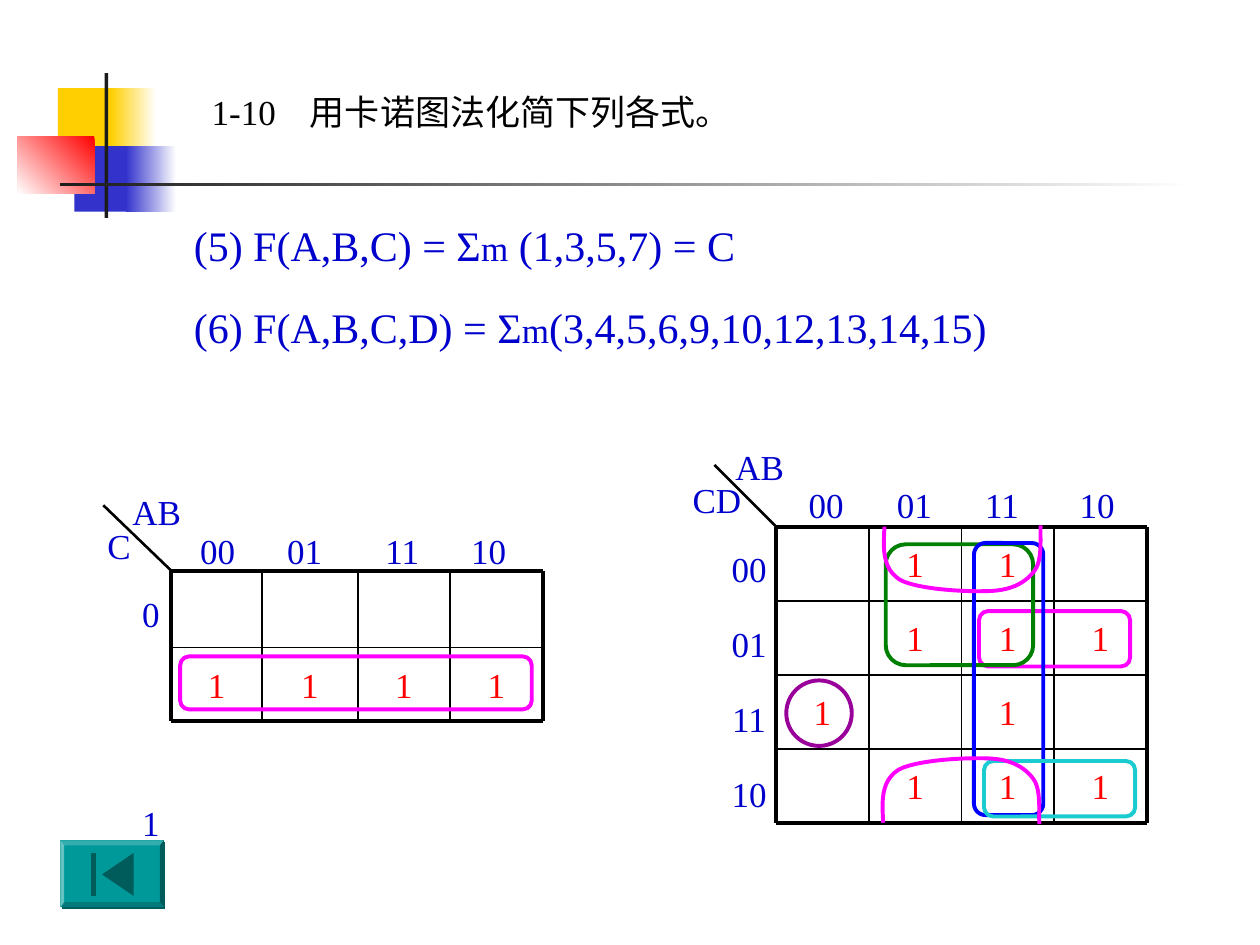
"""Build a slide that simplifies two logic functions with Karnaugh maps."""
from lxml.etree import SubElement
from pptx import Presentation
from pptx.dml.color import RGBColor
from pptx.enum.shapes import MSO_CONNECTOR, MSO_SHAPE
from pptx.enum.text import MSO_ANCHOR, MSO_AUTO_SIZE, PP_ALIGN
from pptx.oxml import parse_xml
from pptx.oxml.ns import nsdecls, qn
from pptx.util import Inches, Pt

BLACK = RGBColor(0x00, 0x00, 0x00)
WHITE = RGBColor(0xFF, 0xFF, 0xFF)
INK = RGBColor(0x1C, 0x1C, 0x1C)
GOLD = RGBColor(0xFF, 0xCF, 0x01)
INDIGO = RGBColor(0x33, 0x33, 0xCC)
NAVY = RGBColor(0x00, 0x00, 0xCC)
BLUE = RGBColor(0x00, 0x00, 0xFF)
RED = RGBColor(0xFF, 0x00, 0x00)
PINK = RGBColor(0xFF, 0x00, 0xFF)
GREEN = RGBColor(0x00, 0x80, 0x00)
CYAN = RGBColor(0x1A, 0xCC, 0xD0)
PURPLE = RGBColor(0x99, 0x00, 0x99)
TEAL = RGBColor(0x00, 0x99, 0x99)
LIGHT = RGBColor(0x33, 0xAD, 0xAD)
PALE = RGBColor(0x66, 0xC2, 0xC2)
DIM = RGBColor(0x00, 0x7A, 0x7A)
DARK = RGBColor(0x00, 0x5B, 0x5B)
LEFT, MID = PP_ALIGN.LEFT, PP_ALIGN.CENTER

deck = Presentation()
deck.slide_width, deck.slide_height = Inches(10), Inches(7.5)
slide = deck.slides.add_slide(deck.slide_layouts[5])
shapes = slide.shapes


def write(box, rows, color=NAVY, align=LEFT, tabs=(), line=None, gap=0):
    frame = box.text_frame
    frame.word_wrap = True
    frame.auto_size = MSO_AUTO_SIZE.NONE
    frame.vertical_anchor = MSO_ANCHOR.TOP
    for i, row in enumerate(rows):
        para = frame.paragraphs[0] if i == 0 else frame.add_paragraph()
        if tabs:
            stops = SubElement(para._p.get_or_add_pPr(), qn("a:tabLst"))
            for tab in tabs:
                SubElement(stops, qn("a:tab"), pos=str(Inches(tab)), algn="l")
        para.alignment = align
        if line:
            para.line_spacing = line
        if i:
            para.space_before = Pt(gap)
        for words, size in row:
            run = para.add_run()
            run.text = words
            run.font.name = "Times New Roman"
            run.font.size = Pt(size)
            run.font.color.rgb = color
    return frame


def outline(points, closed):
    spots = [(Inches(x), Inches(y)) for x, y in points]
    build = shapes.build_freeform(*spots[0])
    build.add_line_segments(spots[1:], close=closed)
    shape = build.convert_to_shape()
    shape.shadow.inherit = False
    return shape


bars = [
    (0.46, 0.7, 0.48, 0.52, GOLD, None, 0),
    (0.88, 0.7, 0.36, 0.52, WHITE, GOLD, 180),
    (0.59, 1.16, 0.46, 0.52, INDIGO, None, 0),
    (1, 1.16, 0.4, 0.52, WHITE, INDIGO, 180),
    (0.14, 1.08, 0.61, 0.46, RED, WHITE, 225),
    (0.83, 0.58, 0.03, 1.15, INK, None, 0),
    (0.48, 1.45, 9, 0.03, WHITE, INK, 180),
]
for x, y, w, h, first, last, angle in bars:
    bar = shapes.add_shape(MSO_SHAPE.RECTANGLE, Inches(x), Inches(y), Inches(w), Inches(h))
    bar.shadow.inherit = False
    bar.line.fill.background()
    if last is None:
        bar.fill.solid()
        bar.fill.fore_color.rgb = first
    else:
        bar.fill.gradient()
        bar.fill.gradient_angle = angle
        for stop, color in zip(bar.fill.gradient_stops, (first, last)):
            stop.color.rgb = color

title = shapes.title
title.left, title.top = Inches(1.58), Inches(0.67)
title.width, title.height = Inches(8.17), Inches(0.44)
write(title, [[("1-10\t用卡诺图法化简下列各式。", 20)]], BLACK, tabs=[0.78])

sums = [
    (1.69, "(5) F(A,B,C) = Σ", " (1,3,5,7) = C"),
    (2.34, "(6) F(A,B,C,D) = Σ", "(3,4,5,6,9,10,12,13,14,15)"),
]
for y, head, tail in sums:
    box = shapes.add_textbox(Inches(1.44), Inches(y), Inches(7.17), Inches(0.5))
    write(box, [[(head, 24), ("m", 20), (tail, 24)]])

maps = [
    ([1.36, 2.08, 2.84, 3.57, 4.31], [4.53, 5.14, 5.72], (0.82, 4.01),
     [(1, 0), (1, 1), (1, 2), (1, 3)]),
    ([6.16 + 0.735 * i for i in range(5)], [4.18 + 0.5875 * i for i in range(5)], (5.67, 3.69),
     [(0, 1), (0, 2), (1, 1), (1, 2), (1, 3), (2, 0), (2, 2), (3, 1), (3, 2), (3, 3)]),
]
for xs, ys, tip, ones in maps:
    lines = [(xs[0], ys[0], *tip, 1.5)]
    for y in ys:
        lines.append((xs[0], y, xs[-1], y, 2.25 if y in (ys[0], ys[-1]) else 1))
    for x in xs:
        lines.append((x, ys[0], x, ys[-1], 2.25 if x in (xs[0], xs[-1]) else 1))
    for x, y, right, end, width in lines:
        rule = shapes.add_connector(
            MSO_CONNECTOR.STRAIGHT, Inches(x), Inches(y), Inches(right), Inches(end))
        rule.line.color.rgb = BLACK
        rule.line.width = Pt(width)
        SubElement(rule._element.spPr, qn("a:effectLst"))
    for row, col in ones:
        x, y = xs[col], ys[row]
        cell = shapes.add_textbox(
            Inches(x), Inches(y), Inches(xs[col + 1] - x), Inches(ys[row + 1] - y))
        write(cell, [[("1", 20)]], RED, MID).vertical_anchor = MSO_ANCHOR.MIDDLE

labels = [
    (0.88, 3.84, 0.73, 0.44, ["AB"], MID, (), None, 0),
    (0.7, 4.11, 0.49, 0.44, ["C"], MID, (), None, 0),
    (1.49, 4.15, 2.83, 0.44, ["00\t01\t11\t10"], LEFT, (0.69, 1.47, 2.15), None, 0),
    (1.03, 4.62, 0.38, 2.11, ["0", "1"], LEFT, (), 1.1, 93),
    (5.7, 3.49, 0.66, 0.44, ["AB"], MID, (), None, 0),
    (5.36, 3.75, 0.66, 0.44, ["CD"], MID, (), None, 0),
    (6.32, 3.79, 2.79, 0.44, ["00\t01\t11\t10"], LEFT, (0.7, 1.4, 2.15), None, 0),
    (5.67, 4.23, 0.55, 2.22, ["00", "01", "11", "10"], MID, (), 1.2, 14),
]
for x, y, w, h, rows, align, tabs, line, gap in labels:
    box = shapes.add_textbox(Inches(x), Inches(y), Inches(w), Inches(h))
    write(box, [[(row, 20)] for row in rows], NAVY, align, tabs, line, gap)

ROUND, OVAL = MSO_SHAPE.ROUNDED_RECTANGLE, MSO_SHAPE.OVAL
loops = [
    (ROUND, 1.43, 5.21, 2.79, 0.42, PINK),
    (ROUND, 7.77, 4.85, 1.2, 0.44, PINK),
    (ROUND, 7.03, 4.32, 1.17, 0.96, GREEN),
    (ROUND, 7.73, 4.31, 0.55, 2.16, BLUE),
    (ROUND, 7.81, 6.04, 1.2, 0.44, CYAN),
    (OVAL, 6.24, 5.4, 0.52, 0.52, PURPLE),
]
rings = []
for kind, x, y, w, h, color in loops:
    ring = shapes.add_shape(kind, Inches(x), Inches(y), Inches(w), Inches(h))
    rings.append((ring, color))

knots = [(7.02, 4.18), (7.01, 4.35), (7, 4.51), (7.14, 4.6), (7.28, 4.68), (7.69, 4.7),
         (7.87, 4.69), (8.05, 4.68), (8.15, 4.61), (8.21, 4.53), (8.28, 4.44),
         (8.25, 4.23), (8.26, 4.17)]
curve = [knots[0]]
for i in range(0, 12, 3):
    for step in range(1, 13):
        t = step / 12
        parts = ((1 - t) ** 3, 3 * t * (1 - t) ** 2, 3 * t * t * (1 - t), t ** 3)
        curve.append(tuple(
            sum(p * k[axis] for p, k in zip(parts, knots[i:i + 4])) for axis in (0, 1)))
rings.append((outline(curve, False), PINK))
rings.append((outline([(x - 0.01, 10.71 - y) for x, y in curve], False), PINK))
for ring, color in rings:
    ring.shadow.inherit = False
    ring.fill.background()
    ring.line.color.rgb = color
    ring.line.width = Pt(2.25)

outer = [(0.48, 6.67), (1.3, 6.67), (1.3, 7.2), (0.48, 7.2)]
inner = [(0.51, 6.71), (1.27, 6.71), (1.27, 7.16), (0.51, 7.16)]
faces = [(outer, TEAL)]
for i, color in enumerate((LIGHT, DARK, DIM, PALE)):
    j = (i + 1) % 4
    faces.append(([outer[i], outer[j], inner[j], inner[i]], color))
faces.append(([(0.81, 6.94), (1.06, 6.77), (1.06, 7.11)], DARK))
faces.append(([(0.72, 6.77), (0.76, 6.77), (0.76, 7.11), (0.72, 7.11)], DARK))
for points, color in faces:
    face = outline(points, True)
    face.fill.solid()
    face.fill.fore_color.rgb = color
    face.line.fill.background()
    if points is outer:
        face._element.spPr.find(qn("a:effectLst")).append(parse_xml(
            f'<a:outerShdw {nsdecls("a")} dist="{Pt(1.4)}" dir="2700000">'
            f'<a:srgbClr val="{DARK}"/></a:outerShdw>'))

deck.save("out.pptx")
